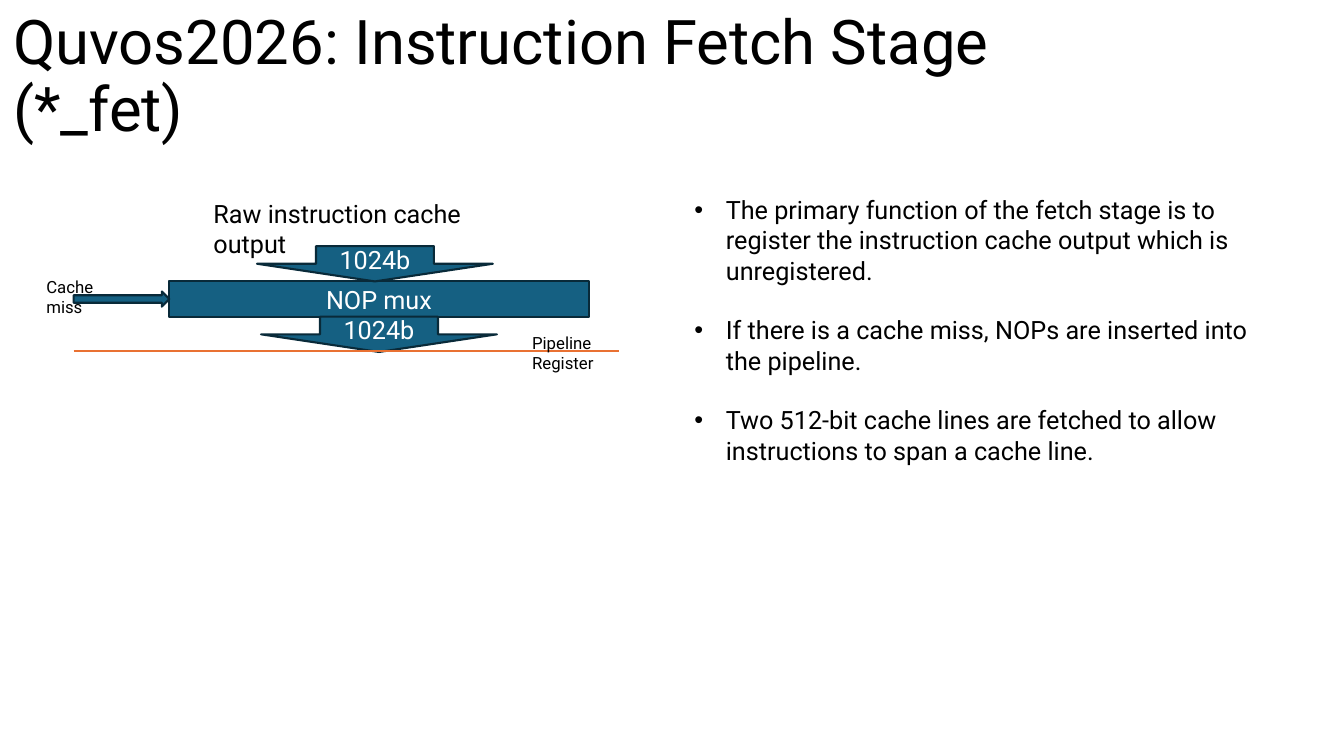
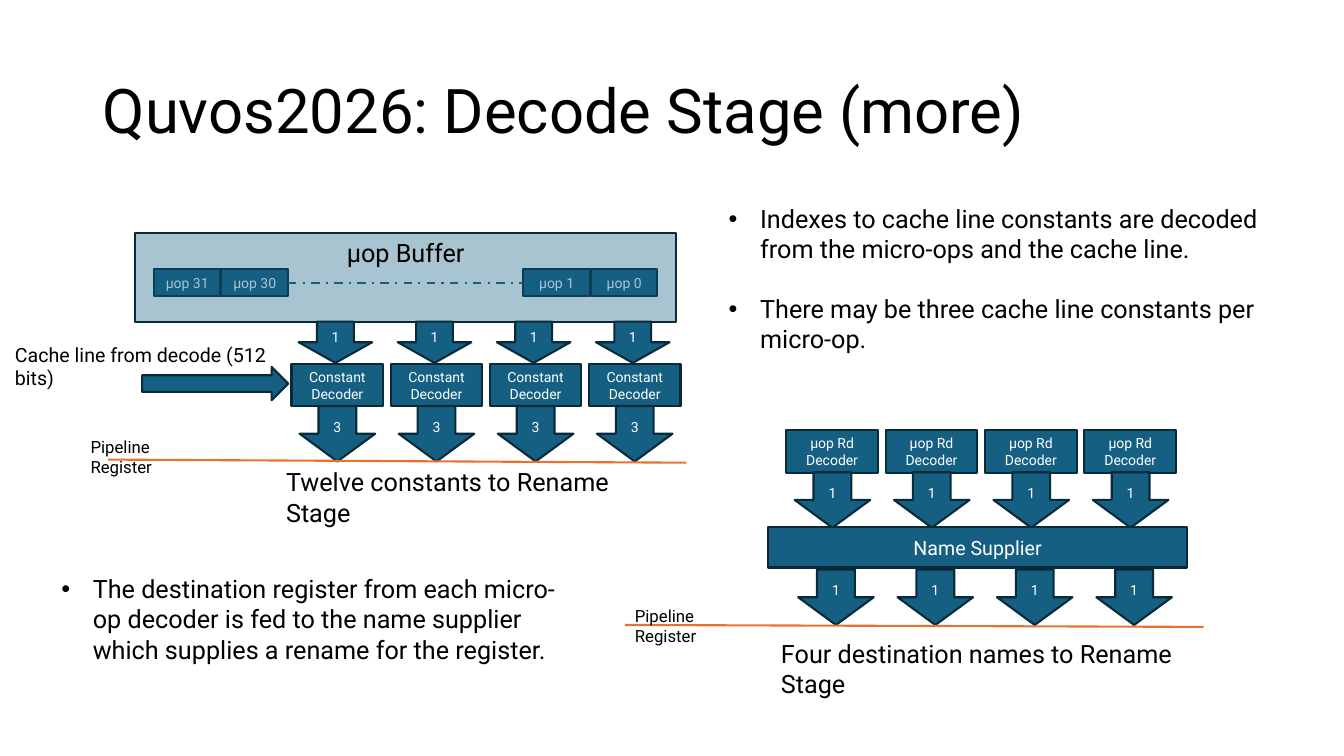
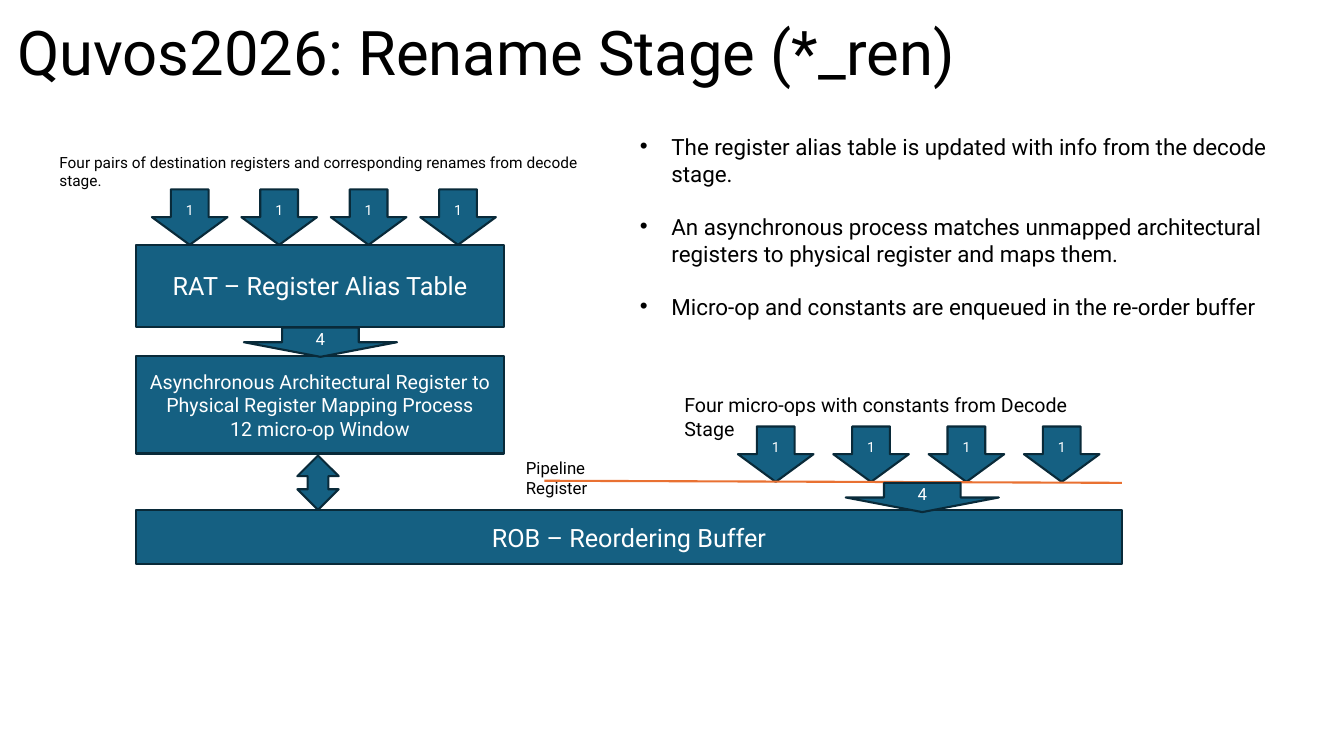
from lxml.etree import SubElement
from pptx import Presentation
from pptx.dml.color import RGBColor
from pptx.enum.dml import MSO_LINE
from pptx.enum.shapes import MSO_CONNECTOR, MSO_SHAPE as SH
from pptx.enum.text import MSO_ANCHOR as ANCHOR, MSO_AUTO_SIZE, PP_ALIGN as ALIGN
from pptx.oxml.ns import qn
from pptx.util import Pt

FONT = "Roboto"
INK, PAPER = "000000", "FFFFFF"
TEAL, EDGE, ORANGE = "156082", "092A39", "E97132"
LINE_W = 1.5
LABEL_W = 102
STAGE_W, STAGE_H = 54, 39.6


def rgb(value):
    return RGBColor.from_string(value)


def add_run(p, text, size, color):
    r = p.add_run()
    r.text = text
    r.font.size = Pt(size)
    r.font.name = FONT
    r.font.color.rgb = rgb(color)


def add_title(prs, text, x, y, h):
    s = prs.slides.add_slide(prs.slide_layouts[5])
    sp = s.shapes.title
    sp.left, sp.top, sp.width, sp.height = Pt(x), Pt(y), Pt(828), Pt(h)
    tf = sp.text_frame
    tf.word_wrap = True
    tf.auto_size = MSO_AUTO_SIZE.NONE
    tf.vertical_anchor = ANCHOR.MIDDLE
    p = tf.paragraphs[0]
    p.alignment = ALIGN.LEFT
    p.line_spacing = 0.9
    add_run(p, text, 44, INK)
    return s


def add_block(s, kind, x, y, w, h, lines=(), size=18, color=PAPER, anchor=ANCHOR.MIDDLE):
    sp = s.shapes.add_shape(kind, Pt(x), Pt(y), Pt(w), Pt(h))
    sp.shadow.inherit = False
    sp.fill.solid()
    sp.fill.fore_color.rgb = rgb(TEAL)
    sp.line.color.rgb = rgb(EDGE)
    sp.line.width = Pt(LINE_W)
    tf = sp.text_frame
    tf.word_wrap = True
    tf.vertical_anchor = anchor
    for i, text in enumerate(lines):
        p = tf.add_paragraph() if i else tf.paragraphs[0]
        p.alignment = ALIGN.CENTER
        add_run(p, text, size, color)
    return sp


def add_row(s, kind, x, y, w, h, pitch, text):
    for i in range(4):
        add_block(s, kind, x + i * pitch, y, w, h, [text], 10)


def add_stage_arrows(s, x, y, pitch, text):
    add_row(s, SH.DOWN_ARROW, x, y, STAGE_W, STAGE_H, pitch, text)


def add_label(s, text, x, y, w, size):
    tf = s.shapes.add_textbox(Pt(x), Pt(y), Pt(w), Pt(size * 1.2 + 7.2)).text_frame
    tf.word_wrap = True
    add_run(tf.paragraphs[0], text, size, INK)


def add_line(s, x1, y1, x2, y2, color):
    cn = s.shapes.add_connector(MSO_CONNECTOR.STRAIGHT, Pt(x1), Pt(y1), Pt(x2), Pt(y2))
    cn.line.color.rgb = rgb(color)
    cn.line.width = Pt(LINE_W)
    SubElement(cn.element.spPr, qn("a:effectLst"))
    return cn


def add_pipeline_register(s, x1, y1, x2, y2, label_x, label_y):
    add_line(s, x1, y1, x2, y2, ORANGE)
    add_label(s, "Pipeline Register", label_x, label_y, LABEL_W, 12)


def add_bullets(s, box, items, size=18):
    x, y, w, h = box
    tf = s.shapes.add_textbox(Pt(x), Pt(y), Pt(w), Pt(h)).text_frame
    tf.word_wrap = True
    for i, text in enumerate(items):
        p = tf.add_paragraph() if i else tf.paragraphs[0]
        if i:
            p.space_before = Pt(round(size * 1.17, 1))
        pPr = p._p.get_or_add_pPr()
        pPr.set("marL", str(Pt(22.5)))
        pPr.set("indent", str(-Pt(22.5)))
        SubElement(pPr, qn("a:buFont")).set("typeface", "Arial")
        SubElement(pPr, qn("a:buChar")).set("char", "•")
        add_run(p, text, size, INK)


def draw_fetch(s, box):
    x, y, w, h = box
    mux_x, mux_y, mux_w, mux_h = x + 95, y + 62.8, 299.5, 25.2
    arrow_w = 168.5
    add_block(s, SH.RECTANGLE, mux_x, mux_y, mux_w, mux_h, ["NOP mux"])
    add_label(s, "Raw instruction cache output", x + 119.4, y, 244.8, 18)
    add_block(s, SH.DOWN_ARROW, x + 157.6, mux_y - mux_h, arrow_w, mux_h, ["1024b"])
    add_block(s, SH.DOWN_ARROW, x + 160.5, mux_y + mux_h, arrow_w, mux_h, ["1024b"])
    add_block(s, SH.RIGHT_ARROW, x + 26.6, mux_y + mux_h / 2 - 5.4, 68.4, 10.8)
    add_label(s, "Cache miss", x, y + 55.7, 76, 12)
    floor = mux_y + 2 * mux_h - 0.6
    add_pipeline_register(s, x + 26.6, floor, x + w, floor, x + 347, y + 96)


def draw_uop_buffer(s, box):
    x, y, w, h = box
    cell_w, cell_h, pitch, pad = 47.5, 19.4, 48.2, 13.5
    right = x + w - pad - cell_w
    cells = [
        add_block(s, SH.RECTANGLE, cell_x, y + 25.9, cell_w, cell_h, [name], 10)
        for name, cell_x in (
            ("µop 31", x + pad),
            ("µop 30", x + pad + pitch),
            ("µop 1", right - pitch),
            ("µop 0", right),
        )
    ]
    gap = add_line(s, x, y, x, y, TEAL)
    gap.line.dash_style = MSO_LINE.DASH_DOT
    gap.begin_connect(cells[1], 3)
    gap.end_connect(cells[2], 1)
    cover = add_block(s, SH.RECTANGLE, x, y, w, h, ["µop Buffer"], 18, INK, ANCHOR.TOP)
    tint = cover.element.spPr.find(qn("a:solidFill"))[0]
    SubElement(tint, qn("a:alpha")).set("val", "37000")


def draw_constants(s, box):
    x, y, w, h = box
    pitch = 70.8
    draw_uop_buffer(s, (x + 92.9, y, 386.6, 63.4))
    add_row(s, SH.RECTANGLE, x + 204.6, y + 93.7, 65.5, 30.2, pitch, "Constant Decoder")
    add_row(s, SH.DOWN_ARROW, x + 209.7, y + 63.4, 52.6, 29.5, pitch, "1")
    add_stage_arrows(s, x + 210.4, y + 123.7, pitch, "3")
    add_label(s, "Twelve constants to Rename Stage", x + 193.7, y + 163.5, 285.8, 18)
    add_block(s, SH.RIGHT_ARROW, x + 97.9, y + 95.8, 104.4, 23.8)
    add_label(s, "Cache line from decode (512 bits)", x, y + 74.9, 220.3, 14)
    add_pipeline_register(s, x + 73.4, y + 162, x + w, y + 164.2, x + 54, y + 141.9)


def draw_names(s, box):
    x, y, w, h = box
    pitch = 71
    add_row(s, SH.RECTANGLE, x + 115.2, y, 65.5, 30.2, pitch, "µop Rd Decoder")
    add_stage_arrows(s, x + 121.2, y + 29.9, pitch, "1")
    add_label(s, "Four destination names to Rename Stage", x + 104.4, y + 144.8, 335.5, 18)
    add_block(s, SH.RECTANGLE, x + 102.2, y + 69.2, 299.5, 28.8, ["Name Supplier"], 14)
    add_stage_arrows(s, x + 123.7, y + 99.4, pitch, "1")
    add_pipeline_register(s, x, y + 139, x + w, y + 140.4, x, y + 121.7)


def draw_rename(s, box):
    x, y, w, h = box
    map_w = 262.8
    left = x + 61.9
    add_block(s, SH.RECTANGLE, left, y + 69.2, map_w, 58.3, ["RAT – Register Alias Table"])
    add_stage_arrows(s, x + 73.2, y + 29.5, 63.9, "1")
    add_label(
        s,
        "Four pairs of destination registers and corresponding renames from decode stage.",
        x, y, 411.8, 11,
    )
    add_block(
        s, SH.RECTANGLE, left, y + 148.4, map_w, 69.8,
        [
            "Asynchronous Architectural Register to Physical Register Mapping Process",
            "12 micro-op Window",
        ],
        14,
    )
    add_block(s, SH.DOWN_ARROW, x + 138.9, y + 128.2, 109.4, 20.9, ["4"], 12)
    add_block(s, SH.RECTANGLE, left, y + 258.5, w - 61.9, 38.9, ["ROB – Reordering Buffer"])
    add_block(s, SH.UP_DOWN_ARROW, x + 177.1, y + 219.6, 29.5, 38.9)
    add_stage_arrows(s, x + 491.8, y + 198.8, 68.1, "1")
    add_label(
        s, "Four micro-ops with constants from Decode Stage",
        x + 446.4, y + 171.4, 320.4, 14,
    )
    add_pipeline_register(s, x + 353.5, y + 237.6, x + w, y + 239.1, x + 333.3, y + 217.5)
    add_block(s, SH.DOWN_ARROW, x + 568.8, y + 239.1, 109.4, 20.9, ["4"], 12)


def main():
    prs = Presentation()
    prs.slide_width, prs.slide_height = Pt(960), Pt(540)

    s = add_title(prs, "Quvos2026: Instruction Fetch Stage (*_fet)", 2.2, 3.6, 104.4)
    draw_fetch(s, (26, 138.2, 416, 112.6))
    add_bullets(s, (488.9, 135.4, 437.8, 181.4), [
        "The primary function of the fetch stage is to register the instruction cache "
        "output which is unregistered.",
        "If there is a cache miss, NOPs are inserted into the pipeline.",
        "Two 512-bit cache lines are fetched to allow instructions to span a cache line.",
    ])

    s = add_title(prs, "Quvos2026: Decode Stage (more)", 66.2, 28.8, 104.4)
    draw_constants(s, (3.6, 166.3, 486.7, 192.3))
    add_bullets(s, (513.4, 141.8, 422.6, 116.6), [
        "Indexes to cache line constants are decoded from the micro-ops and the cache line.",
        "There may be three cache line constants per micro-op.",
    ])
    draw_names(s, (446.4, 307.4, 413.3, 173.6))
    add_bullets(s, (36.7, 406.1, 378, 72.7), [
        "The destination register from each micro-op decoder is fed to the name supplier "
        "which supplies a rename for the register.",
    ])

    s = add_title(prs, "Quvos2026: Rename Stage (*_ren)", 5, 5.8, 67.7)
    draw_rename(s, (35.3, 105.8, 766.1, 297.4))
    add_bullets(s, (450, 91.4, 474.5, 143.3), [
        "The register alias table is updated with info from the decode stage.",
        "An asynchronous process matches unmapped architectural registers to physical "
        "register and maps them.",
        "Micro-op and constants are enqueued in the re-order buffer",
    ], 16)

    prs.save("out.pptx")


if __name__ == "__main__":
    main()
